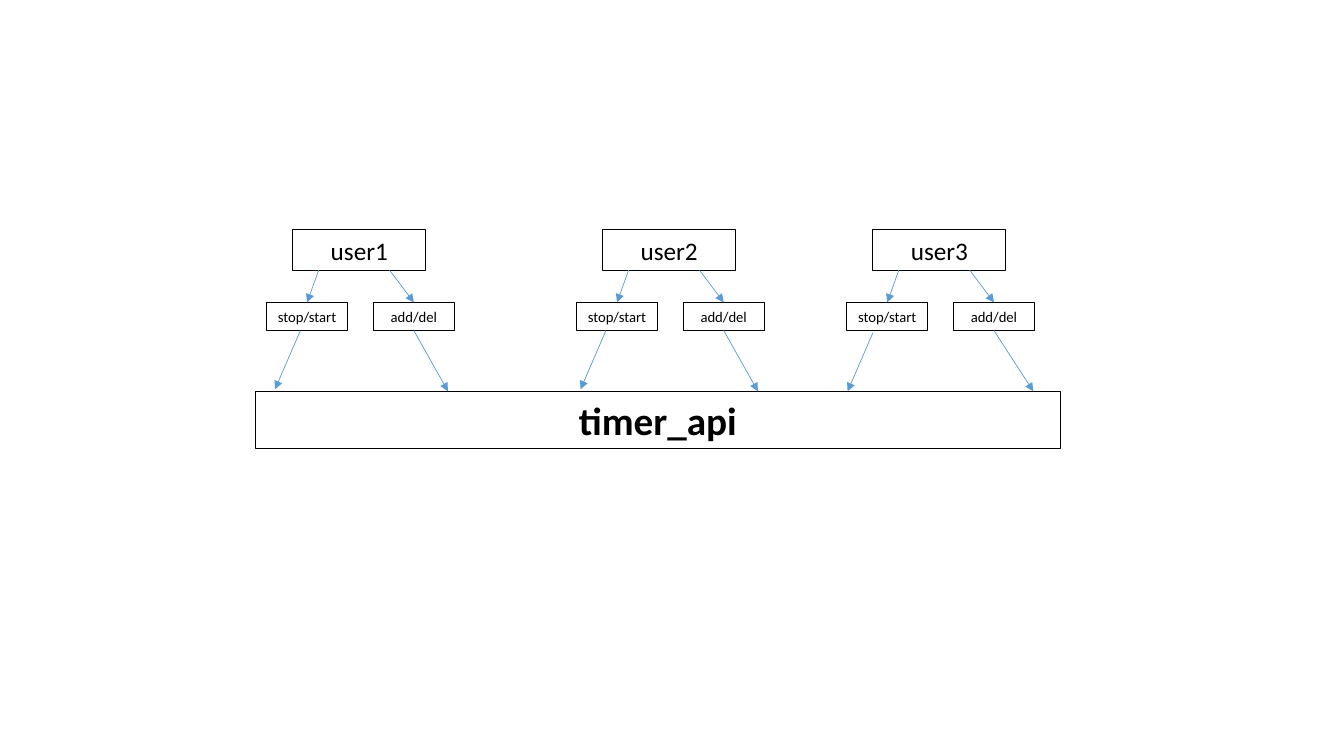
from lxml import etree
from pptx import Presentation
from pptx.dml.color import RGBColor
from pptx.enum.shapes import MSO_CONNECTOR as Connector, MSO_SHAPE as Shape
from pptx.enum.text import MSO_ANCHOR as Anchor, PP_ALIGN as Align
from pptx.oxml.ns import qn
from pptx.util import Cm, Pt

BLACK, BLUE = "000000", "5B9BD5"
FRAME_FORMAT = {
    "margin_left": 0, "margin_right": 0, "margin_top": 0, "margin_bottom": 0,
    "word_wrap": False, "vertical_anchor": Anchor.MIDDLE,
}

presentation = Presentation()
presentation.slide_width, presentation.slide_height = Cm(33.87), Cm(19.05)
slide = presentation.slides.add_slide(presentation.slide_layouts[6])


def add_box(text, left, top, width, height, size, bold=False):
    shape = slide.shapes.add_shape(
        Shape.RECTANGLE, Cm(left), Cm(top), Cm(width), Cm(height))
    shape.shadow.inherit = False
    shape.fill.background()
    shape.line.color.rgb = RGBColor.from_string(BLACK)
    shape.line.width = Pt(0.75)
    for name, value in FRAME_FORMAT.items():
        setattr(shape.text_frame, name, value)
    paragraph = shape.text_frame.paragraphs[0]
    paragraph.text = text
    paragraph.alignment = Align.CENTER
    font_format = {"name": "Calibri", "size": Pt(size), "bold": bold}
    for name, value in font_format.items():
        setattr(paragraph.font, name, value)
    paragraph.font.color.rgb = RGBColor.from_string(BLACK)


def add_arrow(start_x, start_y, end_x, end_y):
    connector = slide.shapes.add_connector(
        Connector.STRAIGHT, Cm(start_x), Cm(start_y), Cm(end_x), Cm(end_y))
    connector.line.color.rgb = RGBColor.from_string(BLUE)
    connector.line.width = Pt(0.5)
    properties = connector.line._get_or_add_ln()
    etree.SubElement(properties, qn("a:tailEnd"), type="triangle")
    etree.SubElement(connector._element.spPr, qn("a:effectLst"))


USER_TOP, USER_HEIGHT = 5.79, 1.02
CALL_TOP, CALL_WIDTH, CALL_HEIGHT = 7.62, 2.04, 0.71
API_TOP = 9.86
USER_BOTTOM = USER_TOP + USER_HEIGHT
CALL_BOTTOM = CALL_TOP + CALL_HEIGHT

add_box("timer_api", 6.43, API_TOP, 20.3, 1.45, 28, True)

users = [
    ("user1", 6.72, 0.85, 0, 4.57),
    ("user2", 14.53, 0.74, 0, 4.57),
    ("user3", 21.34, 0.66, 0.05, 4.7),
]
for user, left, stop_x, stop_drop, add_end_x in users:
    add_box(user, left + 0.66, USER_TOP, 3.35, USER_HEIGHT, 18)
    for call, offset, user_x in [("stop/start", 0, 1.31), ("add/del", 2.69, 3.1)]:
        add_box(call, left + offset, CALL_TOP, CALL_WIDTH, CALL_HEIGHT, 10.5)
        add_arrow(left + user_x, USER_BOTTOM,
                  left + offset + CALL_WIDTH / 2, CALL_TOP)
    add_arrow(left + stop_x, CALL_BOTTOM + stop_drop,
              left + stop_x - 0.64, API_TOP - 0.05 + stop_drop)
    add_arrow(left + 3.71, CALL_BOTTOM, left + add_end_x, API_TOP)

presentation.save("out.pptx")
